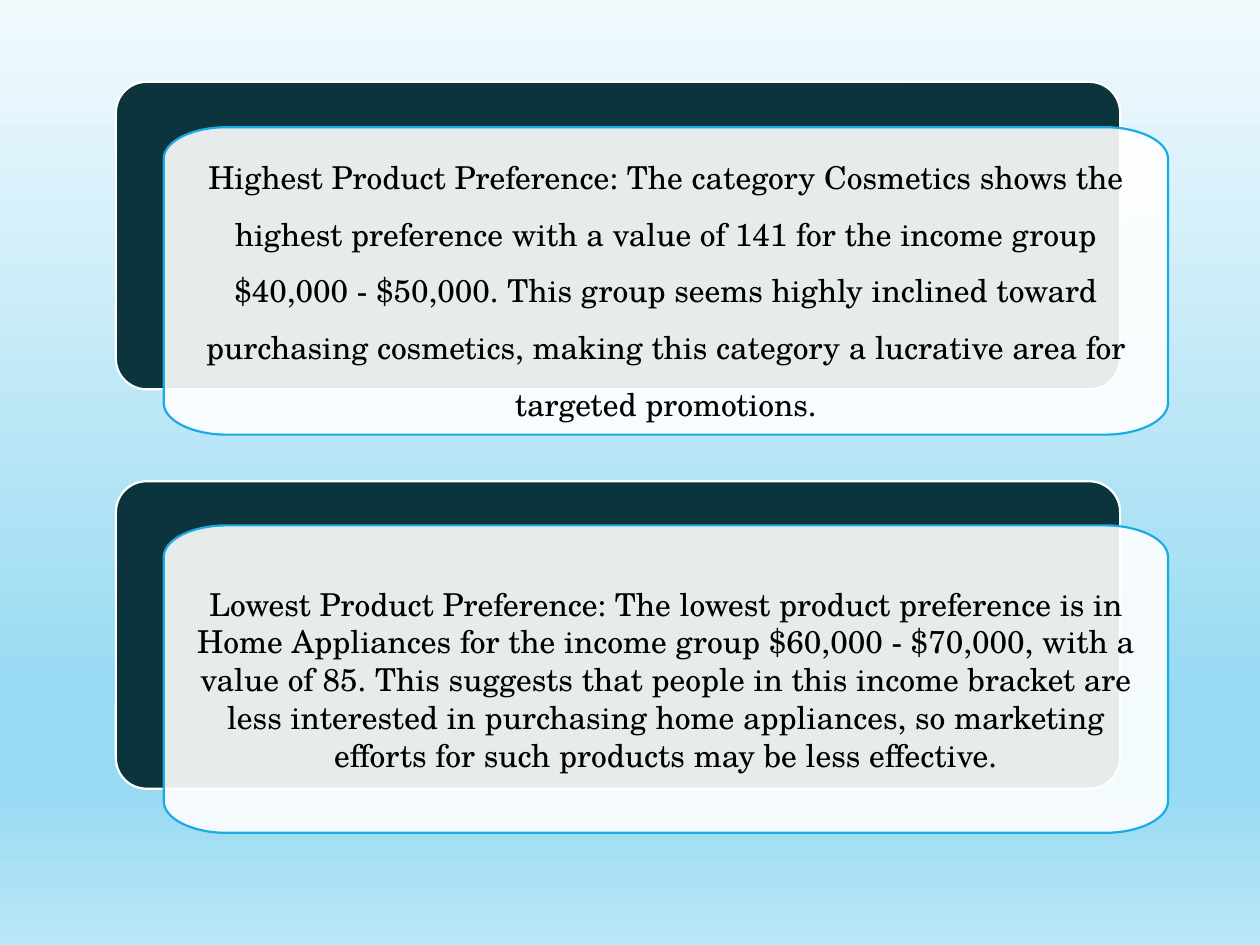
import copy

import lxml.etree
import pptx
import pptx.dml.color
import pptx.enum.shapes
import pptx.enum.text
import pptx.oxml.ns
import pptx.util
from pptx.util import Inches


def color(hex_string):
    return pptx.dml.color.RGBColor.from_string(hex_string)


def style(shape, fill, line):
    shape.shadow.inherit = False
    shape.fill.solid()
    shape.fill.fore_color.rgb = color(fill)
    shape.line.color.rgb = color(line)
    shape.line.width = pptx.util.Pt(1.25)


presentation = pptx.Presentation()
presentation.slide_width = Inches(10)
presentation.slide_height = Inches(7.5)
slide = presentation.slides.add_slide(presentation.slide_layouts[6])

# Background: vertical gradient with four stops
background_fill = slide.background.fill
background_fill.gradient()
background_fill.gradient_angle = 270
stop_list = slide.element.xpath(".//a:gsLst")[0]
for extra in range(2):
    stop_list.append(copy.deepcopy(stop_list[0]))
stops = [(0, "F2FAFD"), (0.74, "97DAF2"), (0.83, "97DAF2"), (1, "BAE6F6")]
for stop, (position, hex_string) in zip(background_fill.gradient_stops, stops):
    stop.position = position
    stop.color.rgb = color(hex_string)

# Cards: top of the dark back, top of the white front, line spacing, text
cards = [
    (0.65, 1.01, 1.5,
     "Highest Product Preference: The category Cosmetics shows the highest "
     "preference with a value of 141 for the income group $40,000 - $50,000. "
     "This group seems highly inclined toward purchasing cosmetics, making "
     "this category a lucrative area for targeted promotions."),
    (3.82, 4.17, None,
     "Lowest Product Preference: The lowest product preference is in Home "
     "Appliances for the income group $60,000 - $70,000, with a value of 85. "
     "This suggests that people in this income bracket are less interested in "
     "purchasing home appliances, so marketing efforts for such products may "
     "be less effective."),
]
card_width, card_height = 7.97, 2.44
back_left, front_left = 0.92, 1.3
radius_x, radius_y = 0.5, 0.25

# Curve of one corner: start, two control points and end, in radii from the corner
corner_curve = [(0, 1), (0, 0.45), (0.45, 0), (1, 0)]

for back_top, front_top, line_spacing, text in cards:
    # Dark card behind
    back = slide.shapes.add_shape(
        pptx.enum.shapes.MSO_SHAPE.ROUNDED_RECTANGLE,
        Inches(back_left), Inches(back_top), Inches(card_width), Inches(card_height))
    back.adjustments[0] = 0.1
    style(back, "0C343D", "FFFFFF")

    # White card in front: corner points clockwise from the top left
    points = []
    for side_x, side_y in [(0, 0), (1, 0), (1, 1), (0, 1)]:
        curve = corner_curve if side_x == side_y else corner_curve[::-1]
        for offset_x, offset_y in curve:
            x = front_left + side_x * card_width + (1 - 2 * side_x) * offset_x * radius_x
            y = front_top + side_y * card_height + (1 - 2 * side_y) * offset_y * radius_y
            points.append((Inches(x), Inches(y)))
    builder = slide.shapes.build_freeform(*points[0])
    builder.add_line_segments(points[1:] + points[:1], close=True)
    front = builder.convert_to_shape()

    # Three of every four segments become one curve, the fourth stays a side
    segments = front.element.xpath(".//a:lnTo")
    for first in range(0, len(segments), 4):
        bezier = lxml.etree.Element(pptx.oxml.ns.qn("a:cubicBezTo"))
        segments[first].addprevious(bezier)
        for segment in segments[first:first + 3]:
            bezier.append(segment[0])
            segment.getparent().remove(segment)

    style(front, "FFFFFF", "19ACE4")
    fill_color = front.element.xpath("./p:spPr/a:solidFill/a:srgbClr")[0]
    lxml.etree.SubElement(fill_color, pptx.oxml.ns.qn("a:alpha"), val="90000")

    # Card text
    text_frame = front.text_frame
    text_frame.text = text
    text_frame.word_wrap = True
    text_frame.vertical_anchor = pptx.enum.text.MSO_ANCHOR.MIDDLE
    text_frame.margin_left = text_frame.margin_right = Inches(0.12)
    text_frame.margin_top = text_frame.margin_bottom = Inches(0.12)
    paragraph = text_frame.paragraphs[0]
    paragraph.alignment = pptx.enum.text.PP_ALIGN.CENTER
    paragraph.line_spacing = line_spacing
    font = paragraph.runs[0].font
    font.name = "TeX Gyre Schola"
    font.size = pptx.util.Pt(18)
    font.color.rgb = color("000000")

presentation.save("out.pptx")
